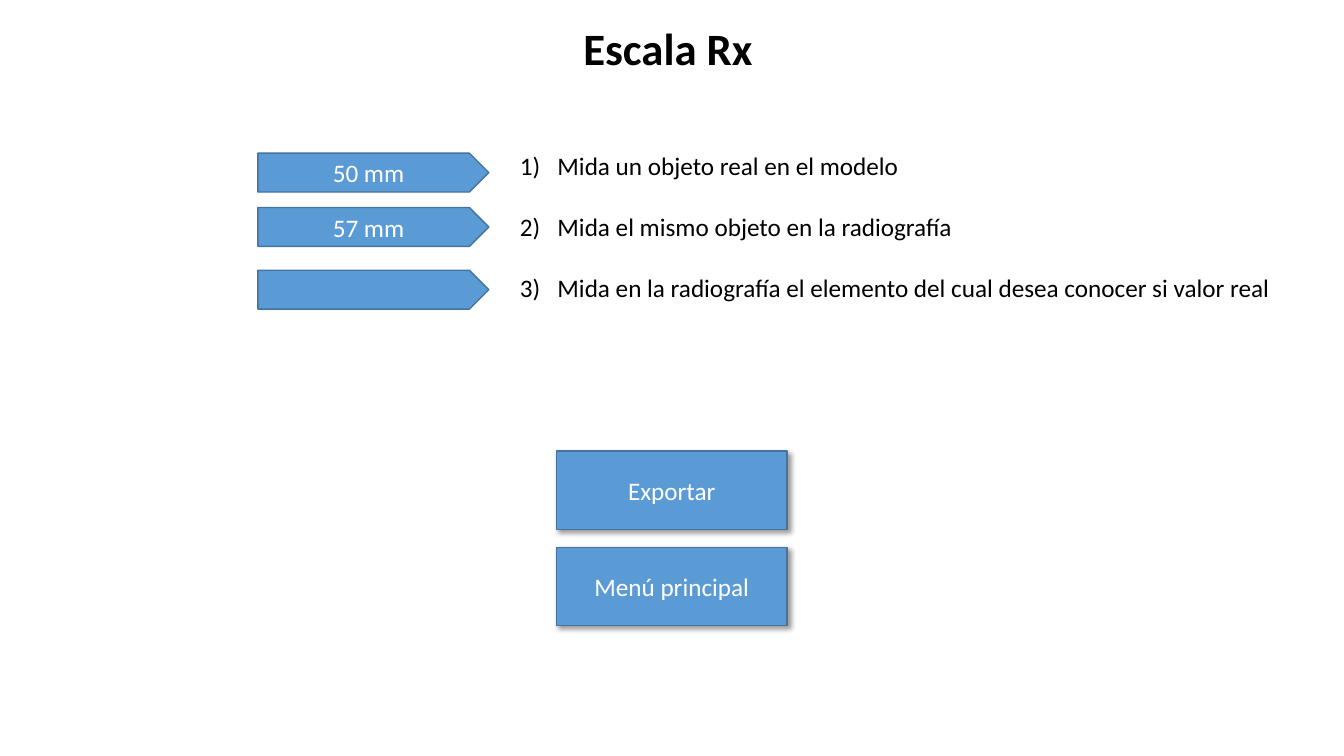
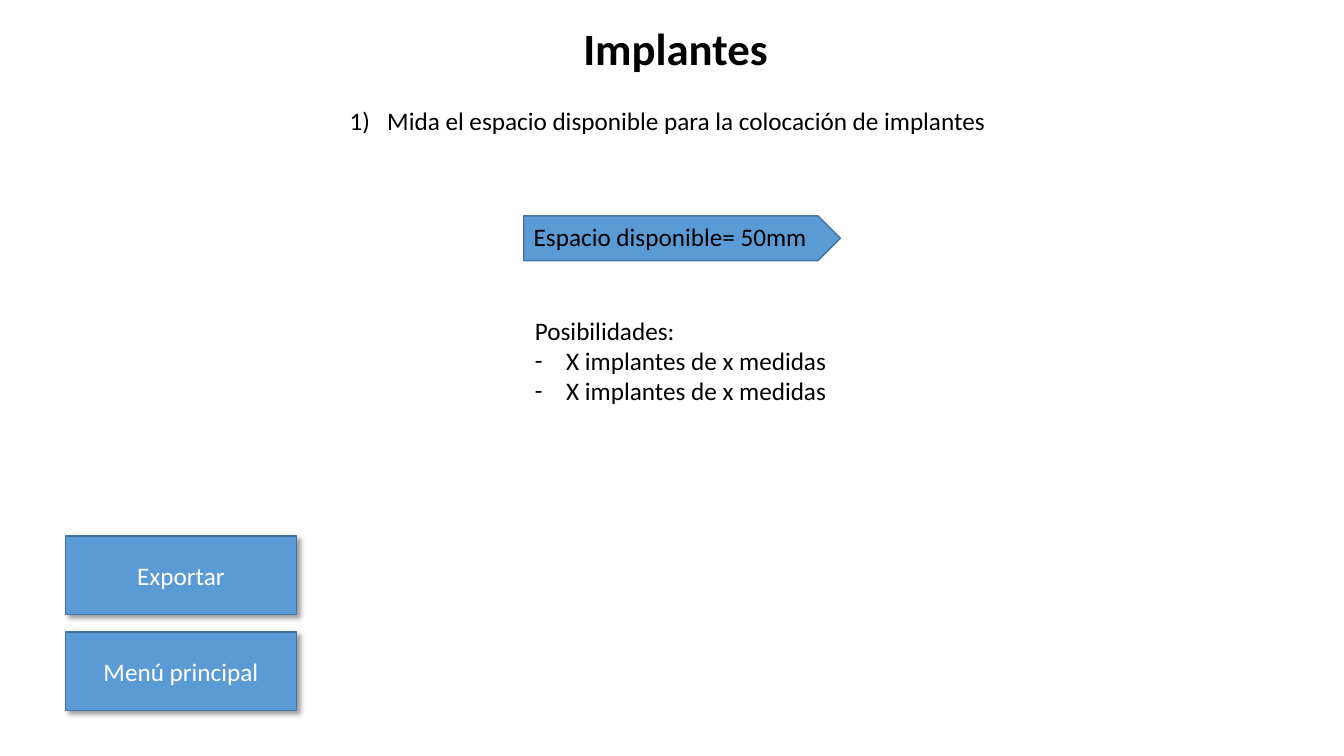
"""Build two slides of a dental measuring tool: X-ray scale and implants."""
from dataclasses import dataclass

from lxml import etree
from pptx import Presentation
from pptx.dml.color import RGBColor
from pptx.enum.shapes import MSO_SHAPE
from pptx.enum.text import MSO_ANCHOR, MSO_AUTO_SIZE, PP_ALIGN
from pptx.oxml.ns import qn
from pptx.slide import Slide
from pptx.util import Cm, Pt

RECT, PLATE = MSO_SHAPE.RECTANGLE, MSO_SHAPE.PENTAGON
MIDDLE, CENTER = MSO_ANCHOR.MIDDLE, PP_ALIGN.CENTER
GROW = MSO_AUTO_SIZE.SHAPE_TO_FIT_TEXT

COLORS = {"fill": "5B9BD5", "line": "43739E", "text": "000000",
          "light": "FFFFFF", "shadow": "000000"}
FONT = "Calibri"
BODY, TITLE = 18, 32
NUMBER, DASH = "number", "dash"
INDENT = {NUMBER: 0.95, DASH: 0.79}
WIDE, HIGH, STEP = 5.82, 1.98, 2.42
BUTTONS = ("Exportar", "Menú principal")


@dataclass
class Box:
    """Place and size in centimetres."""
    left: float
    top: float
    width: float
    height: float

    def spot(self) -> tuple[Cm, Cm, Cm, Cm]:
        """Return the four lengths for python-pptx."""
        return Cm(self.left), Cm(self.top), Cm(self.width), Cm(self.height)


@dataclass
class Line:
    """One paragraph with an optional list mark and a gap above in points."""
    text: str
    mark: str = ""
    gap: int = 0


@dataclass
class Tag:
    """An arrow-shaped label."""
    box: Box
    text: str = ""


def color(name: str) -> RGBColor:
    """Look up a colour by its role."""
    return RGBColor.from_string(COLORS[name])


def add_run(para, text: str, tint: str, size: int = BODY, bold: bool = False) -> None:
    """Add one styled run to a paragraph."""
    run = para.add_run()
    run.text = text
    run.font.name = FONT
    run.font.size = Pt(size)
    run.font.bold = bold
    run.font.color.rgb = color(tint)


def add_mark(para, mark: str) -> None:
    """Give a paragraph a hanging number or dash."""
    props = para._p.get_or_add_pPr()
    inset = Cm(INDENT[mark])
    props.set("marL", str(inset))
    props.set("indent", str(-inset))
    etree.SubElement(props, qn("a:buFont"), typeface=FONT)
    if mark == NUMBER:
        etree.SubElement(props, qn("a:buAutoNum"), type="arabicParenR")
    else:
        etree.SubElement(props, qn("a:buChar"), char="-")


def add_text(slide: Slide, box: Box, lines: list[Line],
             size: int = BODY, bold: bool = False) -> None:
    """Draw a text box that grows with its lines."""
    frame = slide.shapes.add_textbox(*box.spot()).text_frame
    frame.word_wrap = False
    frame.auto_size = GROW
    for rank, line in enumerate(lines):
        para = frame.add_paragraph() if rank else frame.paragraphs[0]
        if line.gap:
            para.space_before = Pt(line.gap)
        if line.mark:
            add_mark(para, line.mark)
        add_run(para, line.text, "text", size, bold)


def add_shade(shape) -> None:
    """Cast a soft shadow to the lower right."""
    effects = shape._element.spPr.find(qn("a:effectLst"))
    outer = etree.SubElement(effects, qn("a:outerShdw"), blurRad=str(Pt(4)),
                             dist=str(Pt(3)), dir="2700000", algn="tl",
                             rotWithShape="0")
    tint = etree.SubElement(outer, qn("a:srgbClr"), val=COLORS["shadow"])
    etree.SubElement(tint, qn("a:alpha"), val="40000")


def add_block(slide: Slide, kind: MSO_SHAPE, box: Box, text: str = "",
              shade: bool = False) -> None:
    """Draw a blue shape with an optional centred label."""
    shape = slide.shapes.add_shape(kind, *box.spot())
    shape.shadow.inherit = False
    shape.fill.solid()
    shape.fill.fore_color.rgb = color("fill")
    shape.line.color.rgb = color("line")
    shape.line.width = Pt(1)
    if shade:
        add_shade(shape)
    if text:
        shape.text_frame.vertical_anchor = MIDDLE
        para = shape.text_frame.paragraphs[0]
        para.alignment = CENTER
        add_run(para, text, "light")


def add_page(deck, title: str, width: float, tags: list[Tag],
             left: float, top: float) -> Slide:
    """Add a slide with its title, tags and stack of buttons."""
    slide = deck.slides.add_slide(deck.slide_layouts[6])
    add_text(slide, Box(14.45, 0.41, width, 1.63), [Line(title)], TITLE, True)
    for tag in tags:
        add_block(slide, PLATE, tag.box, tag.text)
    for rank, label in enumerate(BUTTONS):
        box = Box(left, top + rank * STEP, WIDE, HIGH)
        add_block(slide, RECT, box, label, shade=True)
    return slide


def add_scale(deck) -> None:
    """Build the X-ray scale slide."""
    rows = ((3.86, "50 mm"), (5.23, "57 mm"), (6.81, ""))
    tags = [Tag(Box(6.5, top, WIDE, 0.98), text) for top, text in rows]
    slide = add_page(deck, "Escala Rx", 4.83, tags, 14.02, 11.37)
    add_text(slide, Box(12.85, 3.66, 19.66, 4.11), [
        Line("Mida un objeto real en el modelo", NUMBER),
        Line("Mida el mismo objeto en la radiografía", NUMBER, 22),
        Line("Mida en la radiografía el elemento del cual desea conocer si valor real",
             NUMBER, 22),
    ])


def add_plan(deck) -> None:
    """Build the implants slide."""
    tags = [Tag(Box(13.2, 5.44, 7.98, 1.13))]
    slide = add_page(deck, "Implantes", 5.21, tags, 1.65, 13.51)
    add_text(slide, Box(8.56, 2.54, 16.74, 1.02), [
        Line("Mida el espacio disponible para la colocación de implantes", NUMBER)])
    add_text(slide, Box(13.2, 5.44, 7.47, 1.02), [Line("Espacio disponible= 50mm")])
    choice = Line("X implantes de x medidas", DASH)
    add_text(slide, Box(13.23, 7.82, 7.95, 2.57),
             [Line("Posibilidades:"), choice, choice])


def main() -> None:
    """Build and save the deck."""
    deck = Presentation()
    deck.slide_width, deck.slide_height = Cm(33.87), Cm(19.05)
    add_scale(deck)
    add_plan(deck)
    deck.save("out.pptx")


if __name__ == "__main__":
    main()
